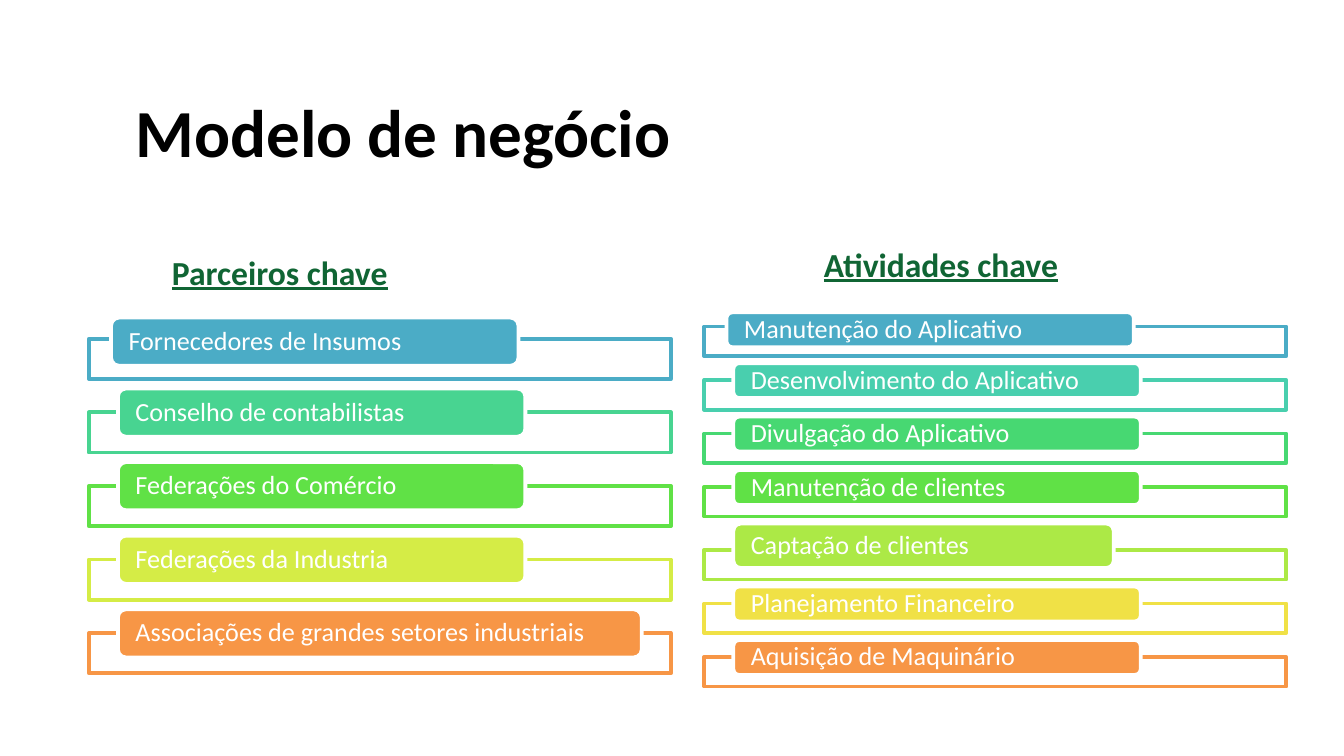
from dataclasses import dataclass

from lxml.etree import SubElement
from pptx import Presentation
from pptx.dml.color import RGBColor
from pptx.enum.shapes import MSO_SHAPE as Preset
from pptx.enum.text import MSO_ANCHOR as Anchor, MSO_AUTO_SIZE as AutoSize
from pptx.oxml.ns import qn
from pptx.util import Cm, Pt


@dataclass(frozen=True)
class Theme:
    font: str = "Calibri"
    title_size: int = 36
    heading_size: int = 18
    item_size: int = 14
    border: int = 2
    ink: str = "000000"
    heading: str = "106534"
    paper: str = "FFFFFF"


theme = Theme()


def write(shapes, text, left, top, width, height, *, size, color, bold=False,
          underline=False, inset=(0, 0), anchor=Anchor.TOP, leading=None):
    """Add a text box; lengths and the (side, top) inset are in centimetres."""
    box = shapes.add_textbox(Cm(left), Cm(top), Cm(width), Cm(height))
    frame = box.text_frame
    frame.word_wrap = True
    frame.auto_size = AutoSize.SHAPE_TO_FIT_TEXT
    frame.vertical_anchor = anchor
    frame.margin_left = frame.margin_right = Cm(inset[0])
    frame.margin_top = frame.margin_bottom = Cm(inset[1])
    paragraph = frame.paragraphs[0]
    paragraph.line_spacing = leading
    run = paragraph.add_run()
    run.text = text
    run.font.name = theme.font
    run.font.size = Pt(size)
    run.font.bold = bold
    run.font.underline = underline
    run.font.color.rgb = RGBColor.from_string(color)


def draw(shapes, preset, left, top, width, height, fill, line):
    shape = shapes.add_shape(preset, Cm(left), Cm(top), Cm(width), Cm(height))
    shape.shadow.inherit = False
    shape.fill.solid()
    shape.fill.fore_color.rgb = RGBColor.from_string(fill)
    shape.line.color.rgb = RGBColor.from_string(line)
    shape.line.width = Pt(theme.border)
    return shape


prs = Presentation()
prs.slide_width, prs.slide_height = Cm(25.4), Cm(14.28)
slide = prs.slides.add_slide(prs.slide_layouts[6])

write(slide.shapes, "Modelo de negócio", 2.31, 1.57, 22.2, 1.8,
      size=theme.title_size, color=theme.ink, bold=True, inset=(0.25, 0.13))

PANEL_WIDTH, TAB_WIDTH = 11, 7.7
TAB_INDENT, TEXT_INDENT, TEXT_HEIGHT = 0.55, 0.33, 0.53
FIRST_SHIFT = (-0.13, 0.05)  # the first tab sits further left and lower

columns = [
    dict(heading="Parceiros chave", heading_at=(3.12, 4.62),
         left=1.68, top=6.4, pitch=1.39, panel=0.76, tab=0.91, rise=0.45,
         items=[("Fornecedores de Insumos", "4BACC6"),
                ("Conselho de contabilistas", "48D491"),
                ("Federações do Comércio", "60E146"),
                ("Federações da Industria", "D5EC46"),
                ("Associações de grandes setores industriais", "F79646")]),
    dict(heading="Atividades chave", heading_at=(15.44, 4.47),
         left=13.31, top=6.17, pitch=1.01, panel=0.56, tab=0.66, rise=0.32,
         items=[("Manutenção do Aplicativo", "4BACC6"),
                ("Desenvolvimento do Aplicativo", "49CFAE"),
                ("Divulgação do Aplicativo", "47D872"),
                ("Manutenção de clientes", "60E146"),
                ("Captação de clientes", "ACE946"),
                ("Planejamento Financeiro", "F0E146"),
                ("Aquisição de Maquinário", "F79646")]),
]
# Tabs that differ from the rest: (width, extra height)
special_tabs = {
    "Associações de grandes setores industriais": (9.9, 0),
    "Captação de clientes": (7.19, 0.18),
}

for column in columns:
    write(slide.shapes, column["heading"], *column["heading_at"], 6.22, 0.91,
          size=theme.heading_size, color=theme.heading, bold=True,
          underline=True, inset=(0.13, 0.13))

    diagram = slide.shapes.add_group_shape().shapes
    panel_top = column["top"]
    for row, (item, color) in enumerate(column["items"]):
        tab_width, extra = special_tabs.get(item, (TAB_WIDTH, 0))
        shift_x, shift_y = FIRST_SHIFT if row == 0 else (0, 0)
        panel_top += extra  # a taller tab pushes its panel down
        tab_left = column["left"] + TAB_INDENT + shift_x
        tab_top = panel_top - column["rise"] - extra + shift_y
        tab_height = column["tab"] + extra

        panel = draw(diagram, Preset.RECTANGLE, column["left"], panel_top,
                     PANEL_WIDTH, column["panel"], theme.paper, color)
        panel_color = panel.fill._xPr.find(qn("a:solidFill"))[0]
        SubElement(panel_color, qn("a:alpha"), val="90000")

        draw(diagram, Preset.ROUNDED_RECTANGLE, tab_left, tab_top,
             tab_width, tab_height, color, theme.paper)
        write(diagram, item, tab_left + TEXT_INDENT,
              tab_top + (tab_height - TEXT_HEIGHT) / 2,
              tab_width - 2 * TEXT_INDENT, TEXT_HEIGHT,
              size=theme.item_size, color=theme.paper,
              anchor=Anchor.MIDDLE, leading=0.9)
        panel_top += column["pitch"]

prs.save("out.pptx")
